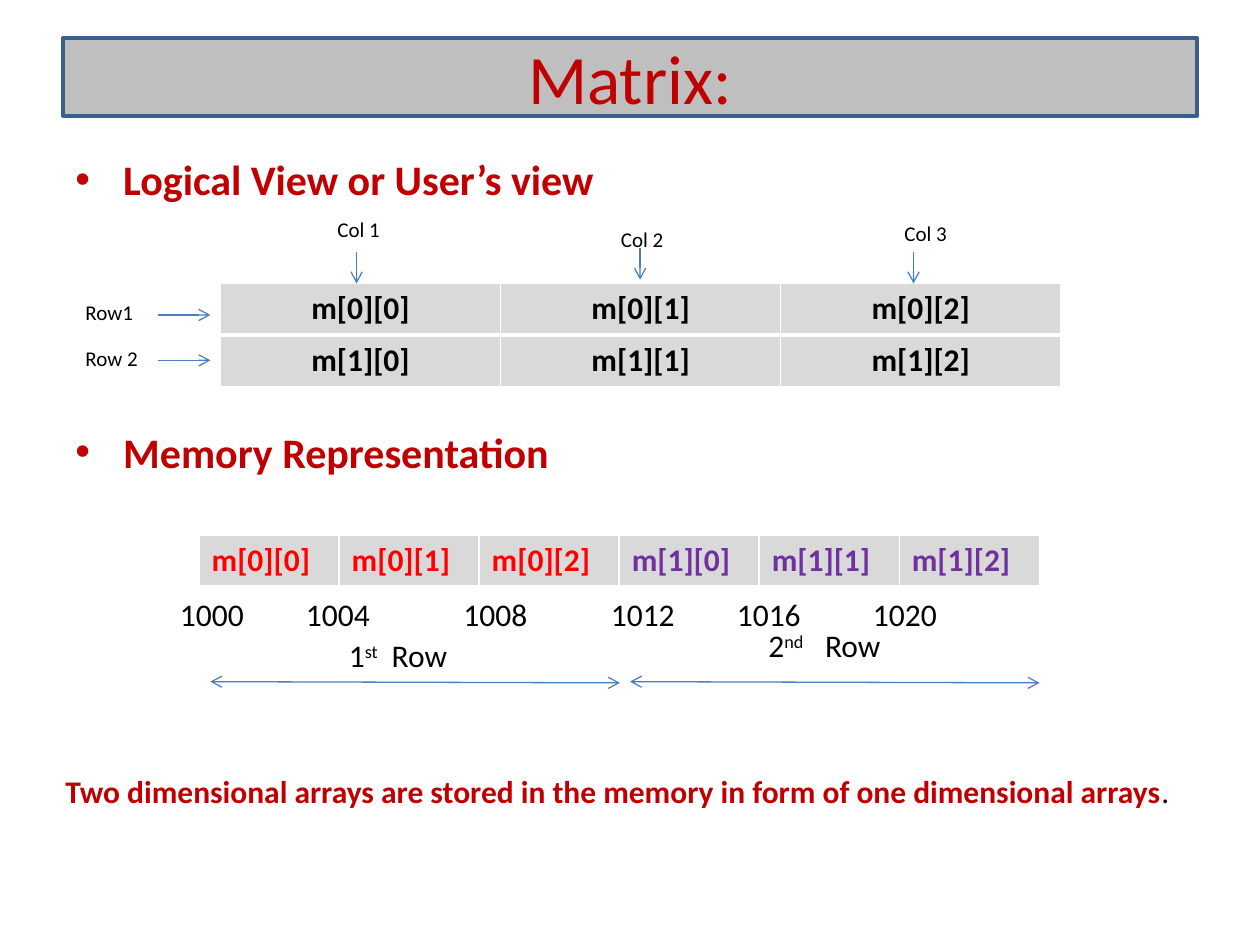
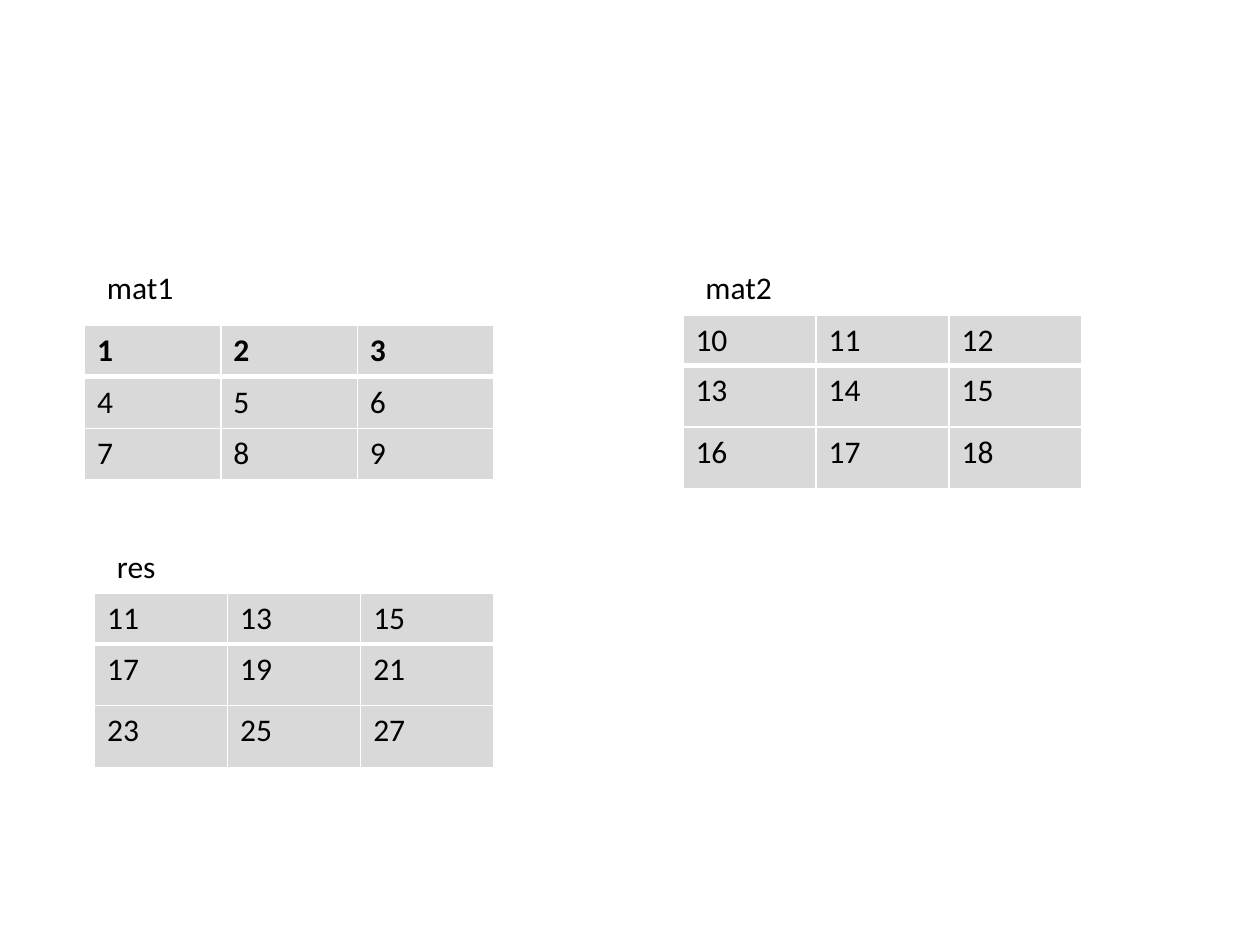
from lxml.etree import SubElement
from pptx import Presentation
from pptx.dml.color import RGBColor
from pptx.enum.shapes import MSO_CONNECTOR, MSO_SHAPE
from pptx.enum.text import MSO_ANCHOR, PP_ALIGN
from pptx.oxml.ns import qn
from pptx.util import Inches, Pt

FONT = "Calibri"
COLOURS = {
    "heading": "C00000",
    "text": "000000",
    "first_row": "FF0000",
    "second_row": "7030A0",
    "cell": "D9D9D9",
    "grid": "FFFFFF",
    "band": "BFBFBF",
    "band_edge": "3A5F8C",
    "arrow": "4B7EBC",
}


def colour(name):
    """Return the named colour of the deck."""
    return RGBColor.from_string(COLOURS[name])


def add_span(para, text, size=18, ink="text", bold=False, raised=False):
    """Add one formatted run to a paragraph."""
    span = para.add_run()
    span.text = text
    span.font.name = FONT
    span.font.size = Pt(size)
    span.font.bold = bold
    span.font.color.rgb = colour(ink)
    if raised:
        span.font._element.set("baseline", "30000")


def add_box(page, left, top, width, height):
    """Add a wrapping text box and return its text frame."""
    box = page.shapes.add_textbox(Inches(left), Inches(top), Inches(width), Inches(height))
    box.text_frame.word_wrap = True
    return box.text_frame


def add_label(page, text, left, top, width=0.75, size=18):
    """Add a one-line label."""
    frame = add_box(page, left, top, width, 0.4 if size == 18 else 0.3)
    add_span(frame.paragraphs[0], text, size)


def add_row_name(page, number, suffix, left, top, width, tab):
    """Add an ordinal row name with the word Row at a tab stop."""
    para = add_box(page, left, top, width, 0.4).paragraphs[0]
    tabs = SubElement(para._p.get_or_add_pPr(), qn("a:tabLst"))
    SubElement(tabs, qn("a:tab"), pos=str(Inches(tab)), algn="l")
    add_span(para, number)
    add_span(para, suffix, raised=True)
    add_span(para, "\tRow")


def add_title(page, text):
    """Add the bordered title band."""
    band = page.shapes.add_shape(MSO_SHAPE.RECTANGLE, Inches(0.5), Inches(0.3), Inches(9), Inches(0.62))
    band.shadow.inherit = False
    band.fill.solid()
    band.fill.fore_color.rgb = colour("band")
    band.line.color.rgb = colour("band_edge")
    band.line.width = Pt(2)
    band.text_frame.vertical_anchor = MSO_ANCHOR.MIDDLE
    para = band.text_frame.paragraphs[0]
    para.alignment = PP_ALIGN.CENTER
    add_span(para, text, 39.6, "heading")


def add_headings(page, headings, gap):
    """Add bulleted headings with a gap in points between them."""
    frame = add_box(page, 0.5, 1.17, 9, 5.53)
    for index, heading in enumerate(headings):
        para = frame.add_paragraph() if index else frame.paragraphs[0]
        properties = para._p.get_or_add_pPr()
        properties.set("marL", str(Inches(0.38)))
        properties.set("indent", str(-Inches(0.38)))
        SubElement(properties, qn("a:buFont"), typeface="Arial")
        SubElement(properties, qn("a:buChar"), char="•")
        if index:
            para.space_before = Pt(gap)
        add_span(para, heading, 24, "heading", True)


def add_arrow(page, start, end, both_ends=False):
    """Add a thin arrow between two points."""
    points = [Inches(length) for length in (*start, *end)]
    arrow = page.shapes.add_connector(MSO_CONNECTOR.STRAIGHT, *points)
    arrow.line.color.rgb = colour("arrow")
    arrow.line.width = Pt(0.75)
    line = arrow.line._get_or_add_ln()
    for tag in ("a:headEnd", "a:tailEnd") if both_ends else ("a:tailEnd",):
        SubElement(line, qn(tag), type="arrow")
    SubElement(arrow._element.spPr, qn("a:effectLst"))


def add_borders(cell, bottom):
    """Draw the white borders of a cell with the given bottom width."""
    for side, width in (("L", 1), ("R", 1), ("T", 1), ("B", bottom)):
        line = SubElement(cell._tc.get_or_add_tcPr(), qn(f"a:ln{side}"), w=str(Pt(width)))
        fill = SubElement(line, qn("a:solidFill"))
        SubElement(fill, qn("a:srgbClr"), val=COLOURS["grid"])


def add_matrix(page, values, left, top, width, heights, bold_rows=(), inks=None, align=PP_ALIGN.LEFT):
    """Add a grey table with equal columns and a thick line under its first row."""
    frame = page.shapes.add_table(len(values), len(values[0]), Inches(left), Inches(top),
                                  Inches(width), Inches(sum(heights)))
    table = frame.table
    table.horz_banding = False
    for row, height in zip(table.rows, heights):
        row.height = Inches(height)
    for r, row_values in enumerate(values):
        for c, value in enumerate(row_values):
            cell = table.cell(r, c)
            add_borders(cell, 1 if r else 3)
            cell.fill.solid()
            cell.fill.fore_color.rgb = colour("cell")
            para = cell.text_frame.paragraphs[0]
            para.alignment = align
            add_span(para, str(value), 18, inks[c] if inks else "text", r in bold_rows)


def build_views(page):
    """Show the logical and the memory view of a matrix."""
    names = [[f"m[{r}][{c}]" for c in range(3)] for r in range(2)]
    add_headings(page, ["Logical View or User’s view", "Memory Representation"], 127)
    add_matrix(page, names, 1.75, 2.25, 6.67, [0.41, 0.41], (0, 1), align=PP_ALIGN.CENTER)
    for text, y in (("Row1", 2.5), ("Row 2", 2.86)):
        add_label(page, text, 0.58, y - 0.17, size=12)
        add_arrow(page, (1.25, y), (1.67, y))
    for text, left, top, x, y in (("Col 1", 2.58, 1.67, 2.83, 2),
                                  ("Col 2", 4.83, 1.75, 5.08, 1.97),
                                  ("Col 3", 7.08, 1.7, 7.25, 2)):
        add_label(page, text, left, top, size=12)
        add_arrow(page, (x, y), (x, y + 0.25))

    inks = ["first_row"] * 3 + ["second_row"] * 3
    add_matrix(page, [names[0] + names[1]], 1.58, 4.25, 6.67, [0.41], (0,), inks)
    for index, left in enumerate((1.33, 2.33, 3.58, 4.75, 5.75, 6.83)):
        add_label(page, str(1000 + 4 * index), left, 4.67)
    for left in (1.67, 5):
        add_arrow(page, (left, 5.41), (left + 3.25, 5.42), both_ends=True)
    add_row_name(page, "1", "st", 2.67, 5, 1.08, 0.34)
    add_row_name(page, "2", "nd", 6, 4.92, 1.33, 0.45)

    para = add_box(page, 0.42, 6.08, 9.25, 0.4).paragraphs[0]
    add_span(para, "Two dimensional arrays are stored in the memory in form of one dimensional arrays",
             ink="heading", bold=True)
    add_span(para, ".")
    add_title(page, "Matrix:")


def build_sum(page):
    """Show two matrices and their sum."""
    first = [[1, 2, 3], [4, 5, 6], [7, 8, 9]]
    second = [[10, 11, 12], [13, 14, 15], [16, 17, 18]]
    total = [[a + b for a, b in zip(*rows)] for rows in zip(first, second)]
    tall_rows = [0.4, 0.49, 0.49]
    add_label(page, "mat1", 0.75, 2.08)
    add_matrix(page, first, 0.67, 2.58, 3.25, [0.41] * 3, (0,))
    add_label(page, "mat2", 5.5, 2.08)
    add_matrix(page, second, 5.42, 2.5, 3.17, tall_rows)
    add_label(page, "res", 0.83, 4.29)
    add_matrix(page, total, 0.75, 4.71, 3.17, tall_rows)


def main():
    """Build and save the deck."""
    deck = Presentation()
    deck.slide_width, deck.slide_height = Inches(10), Inches(7.5)
    for build in (build_views, build_sum):
        build(deck.slides.add_slide(deck.slide_layouts[6]))
    deck.save("out.pptx")


if __name__ == "__main__":
    main()
